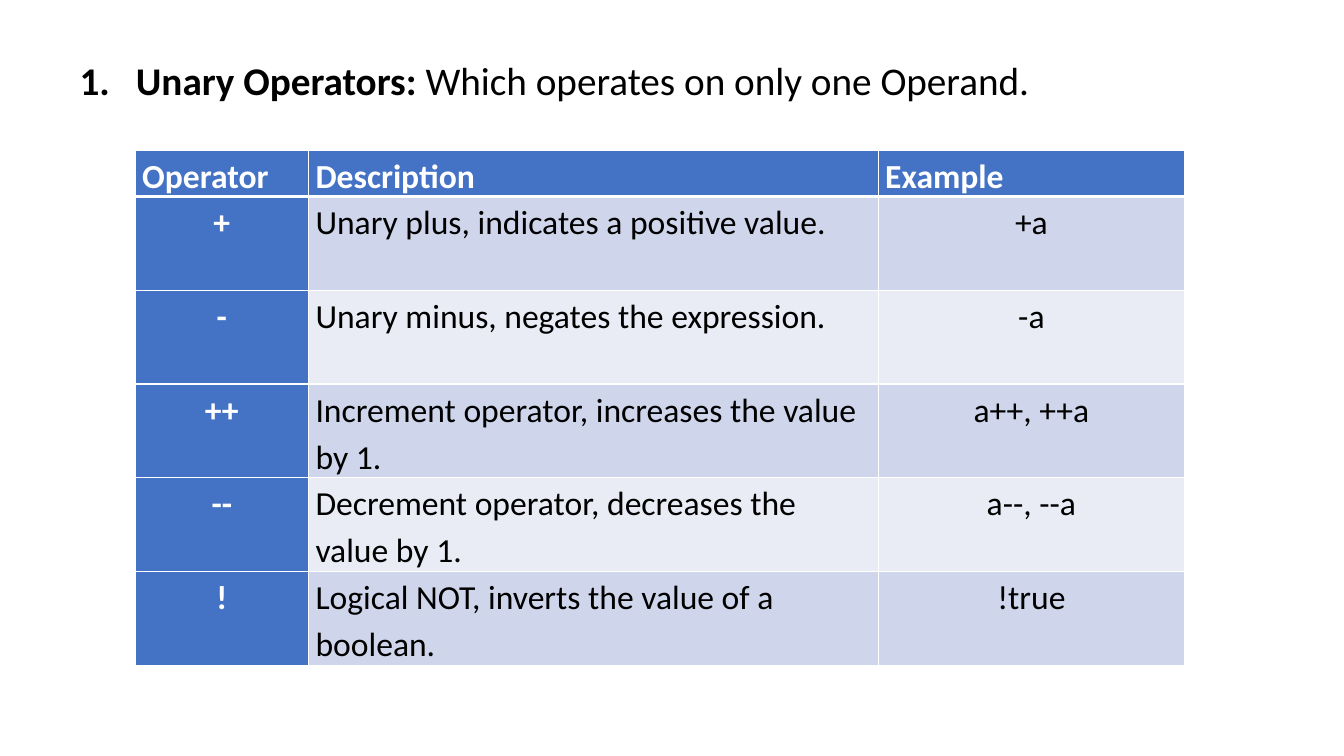
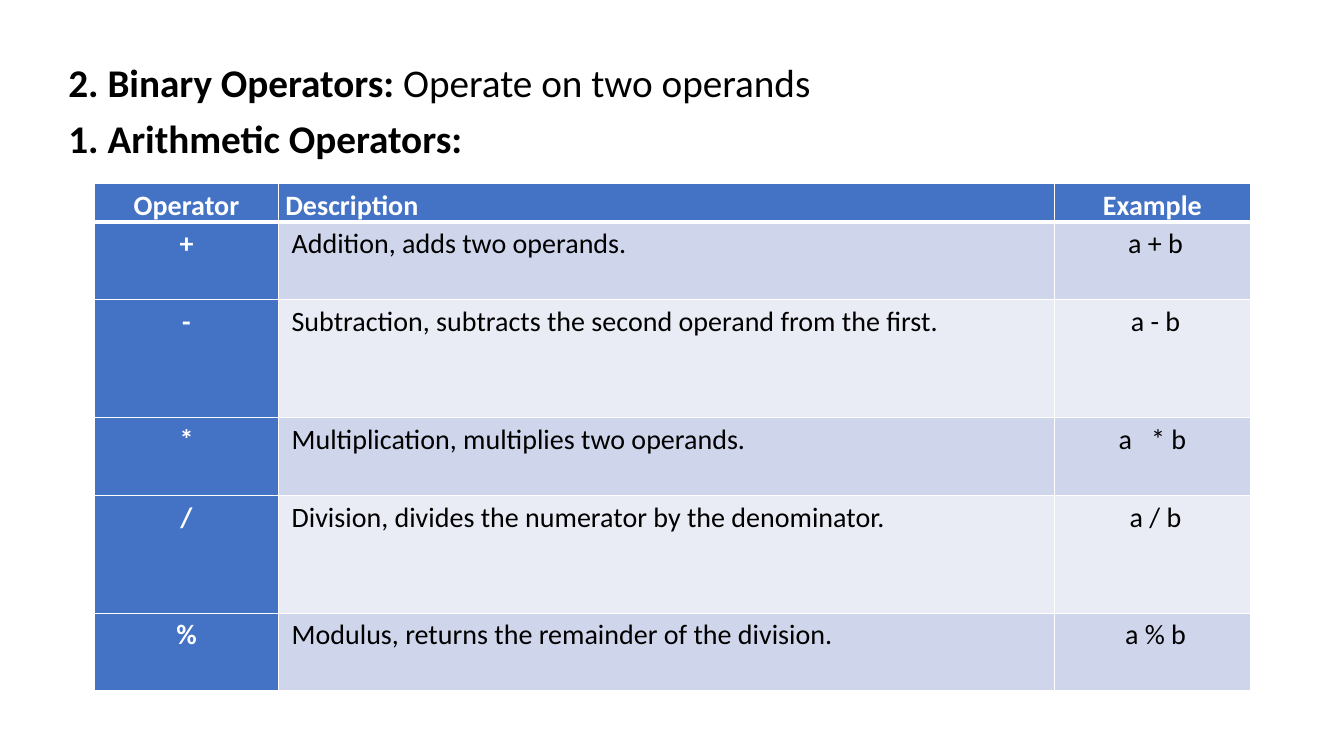
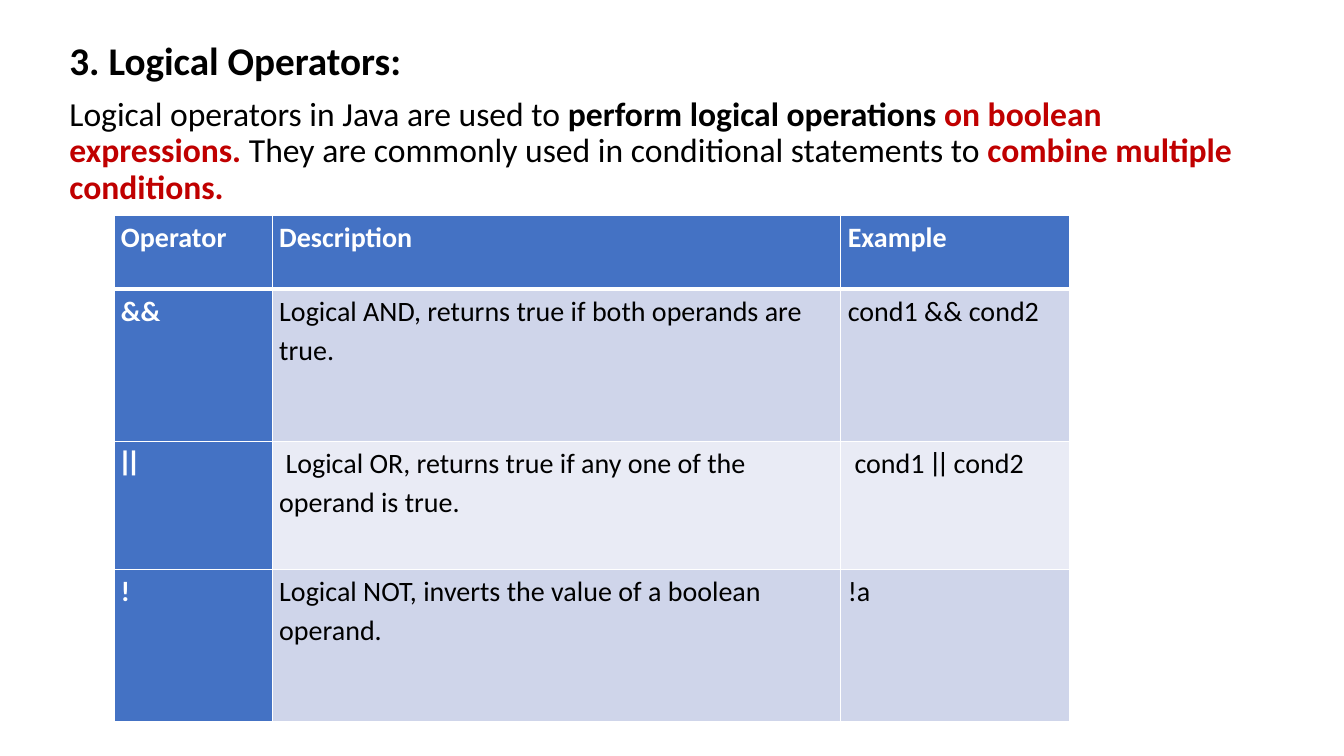
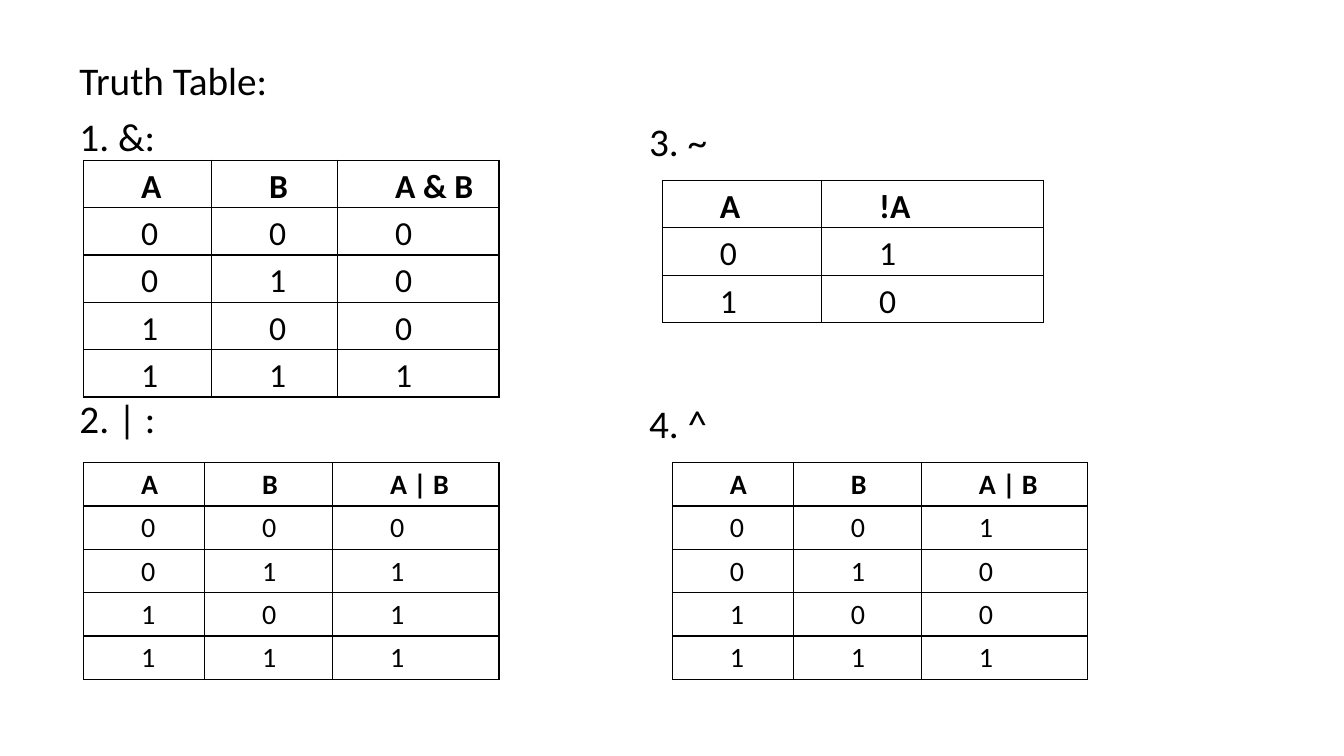
from pptx import Presentation
from pptx.dml.color import RGBColor
from pptx.enum import text
from pptx.oxml.ns import qn
from pptx.util import Inches, Pt
from lxml import etree

BLACK = RGBColor(0x00, 0x00, 0x00)
WHITE = RGBColor(0xFF, 0xFF, 0xFF)
RED = RGBColor(0xC0, 0x00, 0x00)
BLUE = RGBColor(0x44, 0x72, 0xC4)
BANDS = (RGBColor(0xCF, 0xD5, 0xEA), RGBColor(0xE9, 0xEB, 0xF5))
BODY_FONT, BAR_FONT = "Calibri", "Karla"
ALIGN = {"l": text.PP_ALIGN.LEFT, "c": text.PP_ALIGN.CENTER}

BOLD = {"bold": True}
RED_BOLD = {"bold": True, "color": RED}
BAR = {"font": BAR_FONT}
OPERATOR_HEAD = ["Operator", "Description", "Example"]

# Heading paragraphs: (runs, size, space before); a run is text or (text, style).
# Table alignments: one letter per column.
OPERATOR_SLIDES = [
    {
        "at": (0.69, 0.56), "numbered": True,
        "heading": [([("Unary Operators: ", BOLD), "Which operates on only one Operand."], 28, 10)],
        "table": (1.34, 1.49), "size": 24, "head_align": "lll", "align": "clc",
        "cols": (1.72, 5.65, 3.04), "heights": [0.45] + [0.93] * 5,
        "rows": [
            ["+", "Unary plus, indicates a positive value.", "+a"],
            ["-", "Unary minus, negates the expression.", "-a"],
            ["++", "Increment operator, increases the value by 1.", "a++, ++a"],
            ["--", "Decrement operator, decreases the value by 1.", "a--, --a"],
            ["!", "Logical NOT, inverts the value of a boolean.", "!true"],
        ],
    },
    {
        "at": (0.58, 0.58),
        "heading": [
            ([("2. Binary Operators: ", BOLD), "Operate on two operands"], 28, 10),
            ([("1. Arithmetic Operators:", BOLD)], 28, 10),
        ],
        "table": (0.94, 1.82), "size": 20, "head_align": "clc", "align": "clc",
        "cols": (1.82, 7.7, 1.94), "heights": [0.38, 0.77, 1.17, 0.77, 1.17, 0.77],
        "rows": [
            ["+", " Addition, adds two operands.", " a + b"],
            ["-", " Subtraction, subtracts the second operand from the first.", " a - b"],
            ["*", " Multiplication, multiplies two operands.", "a   * b"],
            ["/", " Division, divides the numerator by the denominator.", " a / b"],
            ["%", " Modulus, returns the remainder of the division.", " a % b"],
        ],
    },
    {
        "at": (0.59, 0.36),
        "heading": [
            ([("3. Logical Operators:", BOLD)], 28, 10),
            (["Logical operators in Java are used to ",
              ("perform logical operations ", BOLD),
              ("on boolean expressions. ", RED_BOLD),
              "They are commonly used in conditional statements to ",
              ("combine multiple conditions.", RED_BOLD)], 24, 10),
        ],
        "table": (1.13, 2.14), "size": 20, "head_align": "lll", "align": "lll",
        "cols": (1.57, 5.64, 2.27), "heights": [0.73, 1.51, 1.27, 1.51],
        "rows": [
            ["&&", "Logical AND, returns true if both operands are true.", "cond1 && cond2"],
            [[("||", BAR)], " Logical OR, returns true if any one of the operand is true.",
             [(" ", BAR), "cond1", (" || ", BAR), "cond2"]],
            ["!", "Logical NOT, inverts the value of a boolean operand.", "!a"],
        ],
    },
]

LABEL_GAP = 171  # points that leave room for a truth table between two labels
TRUTH_LABELS = [
    ((0.69, 0.56), [(["Truth Table:"], 28, 10), (["1. &:"], 28, 10), (["2. | :"], 28, LABEL_GAP)]),
    ((6.34, 1.17), [(["3. ~"], 28, 10), (["4. ^"], 28, LABEL_GAP)]),
]
# (position, column widths, row height, text size, rows)
TRUTH_TABLES = [
    ((0.83, 1.59), (1.27, 1.25, 1.6), 0.47, 24, [["A", "B", "A & B"], "000", "010", "100", "111"]),
    ((0.83, 4.59), (1.2, 1.27, 1.65), 0.43, 20, [["A", "B", "A | B"], "000", "011", "101", "111"]),
    ((6.57, 1.79), (1.58, 2.2), 0.47, 24, [["A", "!A"], "01", "10"]),
    ((6.67, 4.59), (1.2, 1.27, 1.65), 0.43, 20, [["A", "B", "A | B"], "001", "010", "100", "111"]),
]


def add_runs(p, runs, size, color=BLACK, bold=False):
    for run in [runs] if isinstance(runs, str) else runs:
        words, style = (run, {}) if isinstance(run, str) else run
        r = p.add_run()
        r.text = words
        r.font.name = style.get("font", BODY_FONT)
        r.font.size = Pt(size)
        r.font.bold = style.get("bold", bold)
        r.font.color.rgb = style.get("color", color)


def add_heading(s, at, width, paragraphs, numbered=False):
    box = s.shapes.add_textbox(*map(Inches, (*at, width, 6.18)))
    tf = box.text_frame
    tf.word_wrap = True
    for i, (runs, size, before) in enumerate(paragraphs):
        p = tf.add_paragraph() if i else tf.paragraphs[0]
        p.line_spacing = 0.9
        p.space_before = Pt(before)
        add_runs(p, runs, size)
        if numbered:
            pPr = p._p.get_or_add_pPr()
            pPr.set("marL", str(Inches(0.56)))
            pPr.set("indent", str(-Inches(0.56)))
            etree.SubElement(pPr, qn("a:buAutoNum"), type="arabicPeriod")


def set_borders(cell, color, bottom=1):
    tcPr = cell._tc.get_or_add_tcPr()
    for side, width in (("L", 1), ("R", 1), ("T", 1), ("B", bottom)):
        ln = etree.SubElement(tcPr, qn(f"a:ln{side}"), w=str(Pt(width)))
        fill = etree.SubElement(ln, qn("a:solidFill"))
        etree.SubElement(fill, qn("a:srgbClr"), val=str(color))


def add_grid(s, at, cols, heights):
    """Add an unstyled table of the given column widths and row heights."""
    frame = s.shapes.add_table(len(heights), len(cols),
                               *map(Inches, (*at, sum(cols), sum(heights))))
    table = frame.table
    table.first_row = table.horz_banding = False
    for column, width in zip(table.columns, cols):
        column.width = Inches(width)
    for row, height in zip(table.rows, heights):
        row.height = Inches(height)
    return table


def fill_cell(cell, runs, size, color, bold, align="l"):
    cell.margin_left = cell.margin_right = Inches(0.07)
    cell.margin_top = cell.margin_bottom = 0
    p = cell.text_frame.paragraphs[0]
    p.alignment = ALIGN[align]
    p.line_spacing = 1.15
    p.space_after = Pt(8)
    add_runs(p, runs, size, color, bold)
    return p


def add_operator_table(s, spec):
    table = add_grid(s, spec["table"], spec["cols"], spec["heights"])
    for i, row in enumerate([OPERATOR_HEAD] + spec["rows"]):
        aligns = spec["align"] if i else spec["head_align"]
        for j, (runs, align) in enumerate(zip(row, aligns)):
            cell = table.cell(i, j)
            strong = i == 0 or j == 0
            fill_cell(cell, runs, spec["size"], WHITE if strong else BLACK, strong, align)
            set_borders(cell, WHITE, bottom=1 if i else 3)
            if i == 1:
                # The rule under the header is shared by both rows.
                cell._tc.tcPr.find(qn("a:lnT")).set("w", str(Pt(3)))
            cell.fill.solid()
            cell.fill.fore_color.rgb = BLUE if strong else BANDS[(i - 1) % 2]


def add_truth_table(s, at, cols, height, size, rows):
    table = add_grid(s, at, cols, [height] * len(rows))
    for i, row in enumerate(rows):
        for j, value in enumerate(row):
            cell = table.cell(i, j)
            p = fill_cell(cell, value, size, BLACK, i == 0)
            p._p.get_or_add_pPr().set("marL", str(Inches(0.5)))
            set_borders(cell, BLACK)
            cell.fill.background()


def main():
    prs = Presentation()
    prs.slide_width, prs.slide_height = Inches(13.33), Inches(7.5)
    blank = prs.slide_layouts[6]
    for spec in OPERATOR_SLIDES:
        s = prs.slides.add_slide(blank)
        add_heading(s, spec["at"], 11.81, spec["heading"], spec.get("numbered", False))
        add_operator_table(s, spec)
    s = prs.slides.add_slide(blank)
    for at, paragraphs in TRUTH_LABELS:
        add_heading(s, at, 4.87, paragraphs)
    for truth_table in TRUTH_TABLES:
        add_truth_table(s, *truth_table)
    prs.save("out.pptx")


if __name__ == "__main__":
    main()
